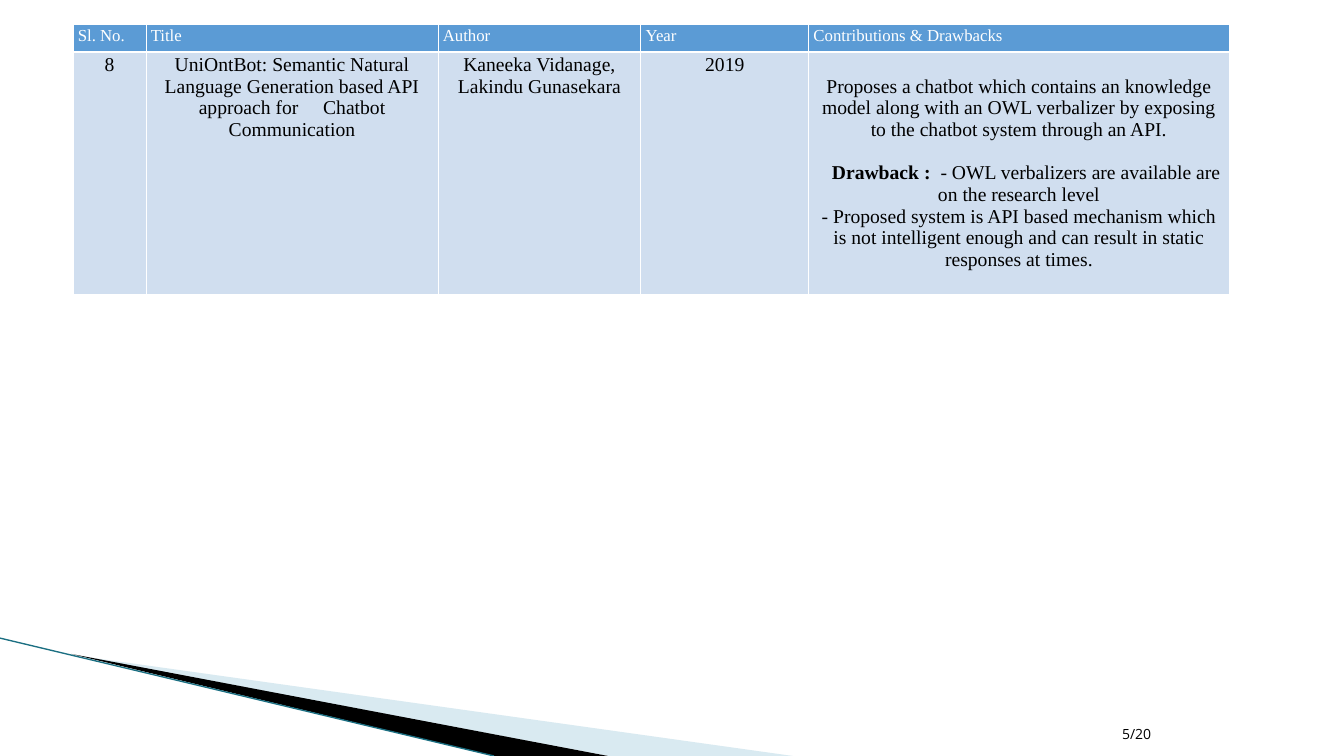
from dataclasses import dataclass

from lxml import etree
from pptx import Presentation
from pptx.dml.color import RGBColor
from pptx.enum.text import MSO_ANCHOR, PP_ALIGN
from pptx.enum.shapes import MSO_CONNECTOR
from pptx.oxml.ns import qn
from pptx.util import Cm, Pt

CENTER, LEFT, RIGHT = PP_ALIGN.CENTER, PP_ALIGN.LEFT, PP_ALIGN.RIGHT
BOTTOM = MSO_ANCHOR.BOTTOM
STRAIGHT = MSO_CONNECTOR.STRAIGHT


@dataclass(frozen=True)
class Theme:
    serif: str = "Times New Roman"
    sans: str = "Open Sans"
    header_size: int = 12
    body_size: int = 14
    number_size: int = 10
    header_fill: str = "5B9BD5"
    body_fill: str = "D0DEEF"
    white: str = "FFFFFF"
    black: str = "000000"
    pale_wedge: str = "A0CBDC"
    edge: str = "1B6F82"


THEME = Theme()
COLUMN_WIDTHS = (1.84, 7.36, 5.11, 4.23, 10.6)
ROW_HEIGHTS = (0.69, 6.1)
HEADERS = ("Sl. No.", "Title", "Author", "Year", "Contributions & Drawbacks")
# A cell is a list of paragraphs, a paragraph is a list of runs.
STUDY = (
    [["8"]],
    [["UniOntBot: Semantic Natural Language Generation based API approach for",
      " ", "Chatbot Communication"]],
    [["Kaneeka Vidanage, Lakindu Gunasekara"]],
    [["2019"]],
    [["Proposes a chatbot which contains an knowledge model along with an OWL "
      "verbalizer by exposing to the chatbot system through an API."],
     ["Drawback : ", " - OWL verbalizers are available are on the research level"],
     ["- Proposed system is API based mechanism which is not intelligent enough "
      "and can result in static responses at times."]],
)


def color(hex_code):
    return RGBColor.from_string(hex_code)


def set_font(paragraph, name, size, hex_code):
    font = paragraph.font
    font.name, font.size = name, Pt(size)
    font.color.rgb = color(hex_code)


def set_borders(cell, top, bottom):
    """Give the cell white borders; top and bottom widths are in points."""
    properties = cell._tc.get_or_add_tcPr()
    widths = {"a:lnL": 0.75, "a:lnR": 0.75, "a:lnT": top, "a:lnB": bottom}
    for index, (tag, width) in enumerate(widths.items()):
        border = etree.Element(qn(tag), w=str(Pt(width)))
        fill = etree.SubElement(border, qn("a:solidFill"))
        etree.SubElement(fill, qn("a:srgbClr"), val=THEME.white)
        properties.insert(index, border)


def fill_cell(cell, paragraphs, size, ink, fill, align):
    cell.fill.solid()
    cell.fill.fore_color.rgb = color(fill)
    cell.margin_left = cell.margin_right = Cm(0.12)
    cell.margin_top = cell.margin_bottom = Cm(0.05)
    frame = cell.text_frame
    for index, runs in enumerate(paragraphs):
        paragraph = frame.add_paragraph() if index else frame.paragraphs[0]
        paragraph.alignment = align
        for text in runs:
            paragraph.add_run().text = text
        set_font(paragraph, THEME.serif, size, ink)


def literature_table(slide, left, top, width, height):
    table = slide.shapes.add_table(2, len(HEADERS), Cm(left), Cm(top),
                                   Cm(width), Cm(height)).table
    for column, column_width in zip(table.columns, COLUMN_WIDTHS):
        column.width = Cm(column_width)
    for row, row_height in zip(table.rows, ROW_HEIGHTS):
        row.height = Cm(row_height)
    for index, (header, study) in enumerate(zip(HEADERS, STUDY)):
        header_cell, study_cell = table.cell(0, index), table.cell(1, index)
        fill_cell(header_cell, [[header]], THEME.header_size, THEME.white,
                  THEME.header_fill, LEFT)
        fill_cell(study_cell, study, THEME.body_size, THEME.black,
                  THEME.body_fill, CENTER)
        set_borders(header_cell, 0.75, 2)
        set_borders(study_cell, 2, 0.75)

    title_gap = table.cell(1, 1).text_frame.paragraphs[0].runs[1]
    title_gap.font._element.set("spc", "1400")
    contributions = table.cell(1, 4)
    contributions.margin_top = Cm(0.6)
    drawback = contributions.text_frame.paragraphs[1]
    drawback.space_before = Pt(15.5)
    drawback.runs[0].font.bold = True
    drawback._p.get_or_add_pPr().set("indent", str(Cm(0.37)))


def wedge(slide, left, top, points, hex_code, opacity=100):
    (start_x, start_y), *others = [(Cm(left + x), Cm(top + y)) for x, y in points]
    builder = slide.shapes.build_freeform(start_x, start_y)
    builder.add_line_segments(others, close=True)
    shape = builder.convert_to_shape()
    shape.shadow.inherit = False
    shape.fill.solid()
    shape.fill.fore_color.rgb = color(hex_code)
    shape.line.fill.background()
    if opacity < 100:
        tint = shape.fill._xPr.find(qn("a:solidFill"))[0]
        etree.SubElement(tint, qn("a:alpha"), val=str(opacity * 1000))


def corner_decoration(slide, left, top, width, height):
    black_right, black_left = 15.32, 12.45
    wedge(slide, left, top, [(1.85, 0.43), (width, height), (black_right, height)],
          THEME.pale_wedge, 40)
    wedge(slide, left, top,
          [(1.8, 0.4), (black_right, height), (black_left, height)], THEME.black)
    edge = slide.shapes.add_connector(STRAIGHT, Cm(left), Cm(top),
                                      Cm(left + black_left), Cm(top + height))
    edge.line.color.rgb = color(THEME.edge)
    edge.line.width = Pt(0.95)
    etree.SubElement(edge._element.spPr, qn("a:effectLst"))


def page_number(slide, left, top, width, height):
    frame = slide.shapes.add_textbox(Cm(left), Cm(top), Cm(width),
                                     Cm(height)).text_frame
    frame.word_wrap = True
    frame.vertical_anchor = BOTTOM
    paragraph = frame.paragraphs[0]
    paragraph.text = "5/20"
    paragraph.alignment = RIGHT
    set_font(paragraph, THEME.sans, THEME.number_size, THEME.black)


def main():
    presentation = Presentation()
    presentation.slide_width, presentation.slide_height = Cm(33.87), Cm(19.05)
    slide = presentation.slides.add_slide(presentation.slide_layouts[6])
    corner_decoration(slide, 0, 16.08, 19.98, 2.97)
    page_number(slide, 27.13, 17.81, 2.13, 1.02)
    literature_table(slide, 1.84, 0.62, sum(COLUMN_WIDTHS), sum(ROW_HEIGHTS))
    presentation.save("out.pptx")


if __name__ == "__main__":
    main()
